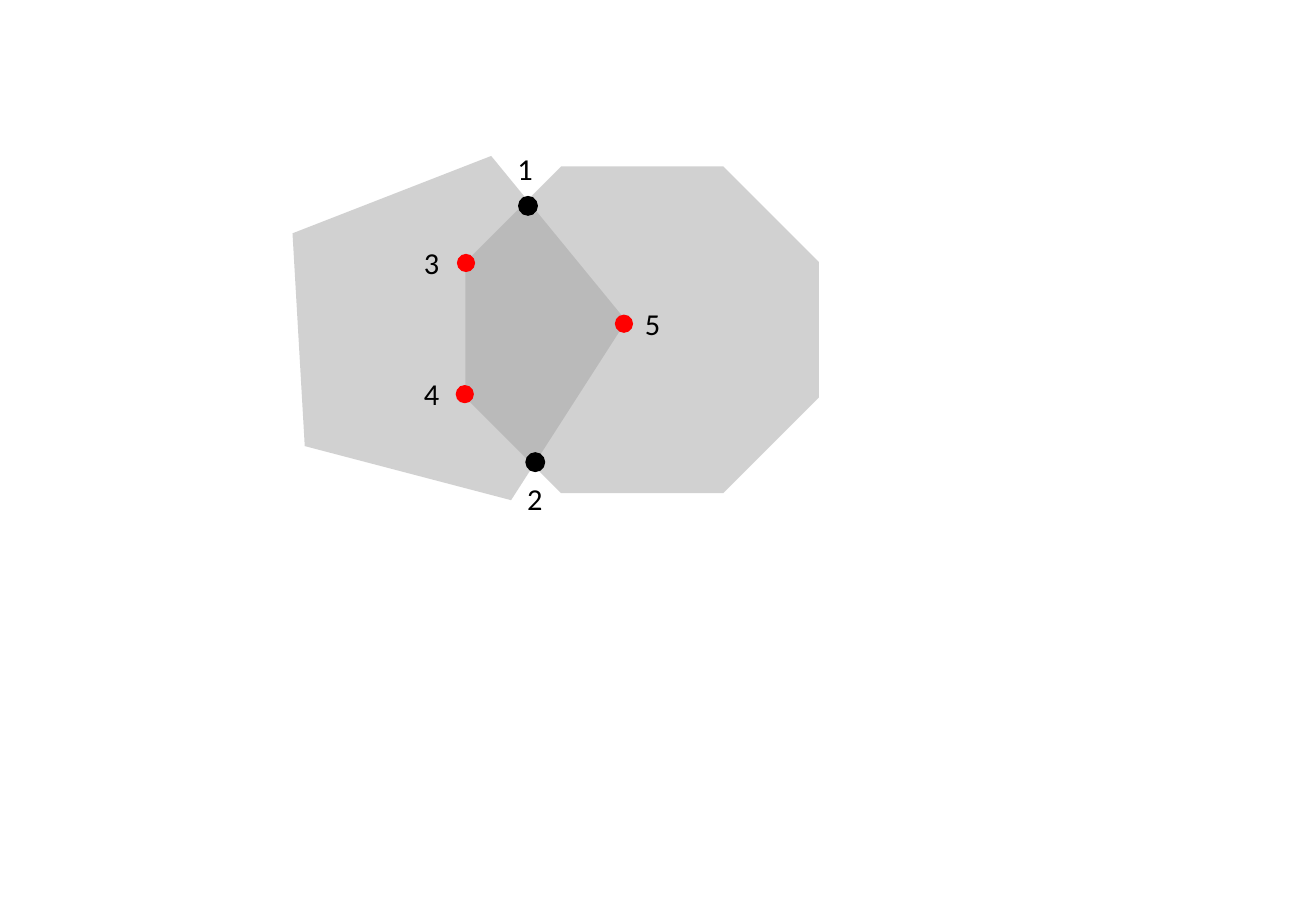
from dataclasses import dataclass

from lxml import etree
from pptx import Presentation
from pptx.dml.color import RGBColor
from pptx.enum import shapes, text
from pptx.oxml.ns import qn
from pptx.util import Inches, Pt

SHAPE = shapes.MSO_SHAPE


@dataclass(frozen=True)
class Theme:
    font: str = "Calibri"
    label_size: int = 18
    ink: str = "000000"
    region: str = "A5A5A5"
    inner_vertex: str = "FF0000"
    region_alpha: int = 50


class Diagram:
    def __init__(self, slide, theme):
        self.slide = slide
        self.theme = theme

    def shape(self, kind, left, top, width, height, color):
        sp = self.slide.shapes.add_shape(
            kind, Inches(left), Inches(top), Inches(width), Inches(height))
        sp.shadow.inherit = False
        sp.fill.solid()
        sp.fill.fore_color.rgb = RGBColor.from_string(color)
        sp.line.fill.background()
        return sp

    def region(self, kind, left, top, width, height, rotation=0):
        """Add a translucent polygon, so that overlaps show darker."""
        sp = self.shape(kind, left, top, width, height, self.theme.region)
        sp.rotation = rotation
        color = sp.fill._xPr.find(qn("a:solidFill"))[0]
        alpha = etree.SubElement(color, qn("a:alpha"))
        alpha.set("val", str(self.theme.region_alpha * 1000))

    def dot(self, left, top, color, outlined=False):
        sp = self.shape(SHAPE.OVAL, left, top, 0.15, 0.15, color)
        if outlined:
            sp.line.color.rgb = RGBColor.from_string(color)
            sp.line.width = Pt(1)

    def label(self, wording, left, top):
        box = self.slide.shapes.add_textbox(
            Inches(left), Inches(top), Inches(0.33), Inches(0.4))
        tf = box.text_frame
        tf.word_wrap = False
        tf.auto_size = text.MSO_AUTO_SIZE.SHAPE_TO_FIT_TEXT
        p = tf.paragraphs[0]
        p.text = wording
        p.font.name = self.theme.font
        p.font.size = Pt(self.theme.label_size)
        p.font.color.rgb = RGBColor.from_string(self.theme.ink)


def main():
    prs = Presentation()
    prs.slide_width = Inches(10.83)
    prs.slide_height = Inches(7.5)
    theme = Theme()
    diagram = Diagram(prs.slides.add_slide(prs.slide_layouts[6]), theme)

    diagram.region(SHAPE.REGULAR_PENTAGON, 2.28, 1.24, 2.84, 2.7, rotation=14.7)
    diagram.region(SHAPE.OCTAGON, 3.83, 1.37, 2.91, 2.69)

    crossings = [(4.27, 1.62), (4.33, 3.73)]
    inner_vertices = [(3.76, 2.09), (3.75, 3.17), (5.06, 2.59)]
    for left, top in crossings:
        diagram.dot(left, top, theme.ink, outlined=True)
    for left, top in inner_vertices:
        diagram.dot(left, top, theme.inner_vertex)

    label_places = [(4.16, 1.19), (4.24, 3.9), (3.39, 1.96), (3.39, 3.04), (5.21, 2.46)]
    for number, (left, top) in enumerate(label_places, start=1):
        diagram.label(str(number), left, top)

    prs.save("out.pptx")


if __name__ == "__main__":
    main()
